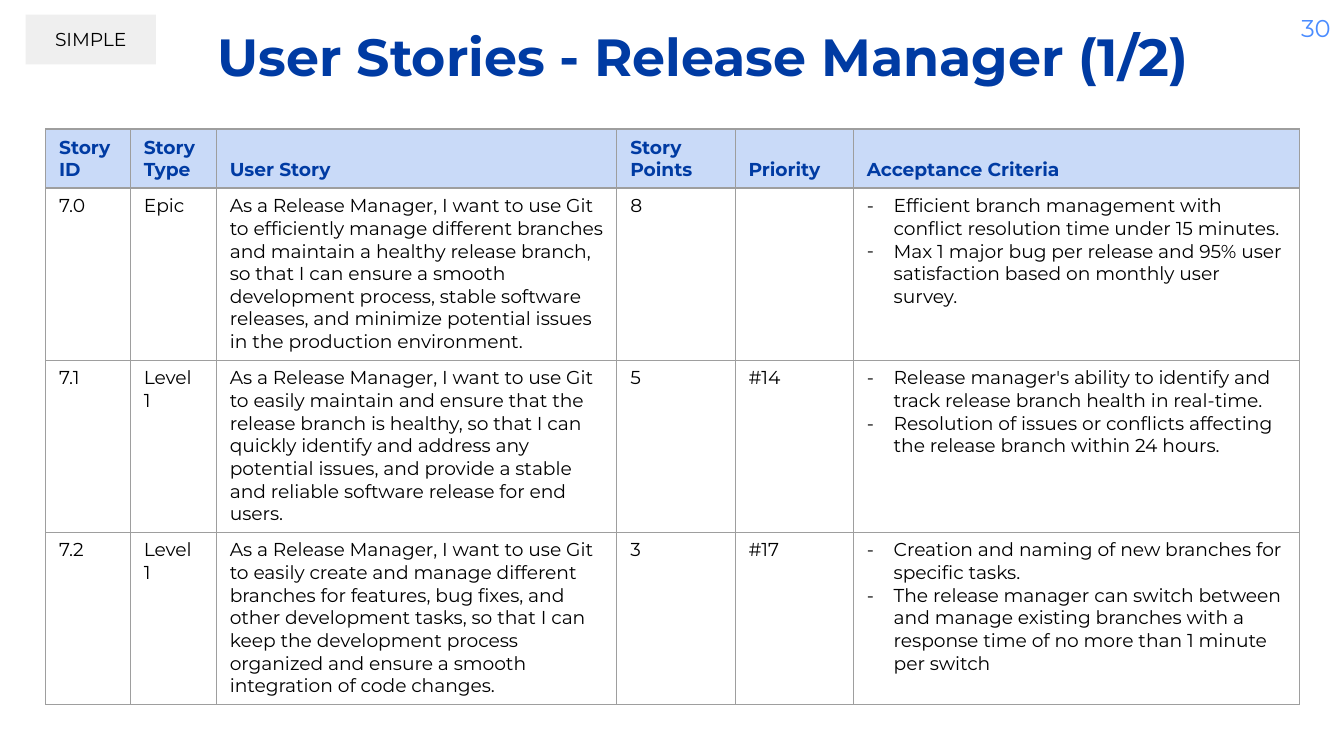
import pptx
import pptx.util
import pptx.dml.color
import pptx.enum.shapes
import pptx.enum.text
import pptx.oxml.ns
from lxml import etree

Inches, Pt = pptx.util.Inches, pptx.util.Pt
PP_ALIGN, ANCHOR = pptx.enum.text.PP_ALIGN, pptx.enum.text.MSO_ANCHOR
FONT = "Montserrat"
NAVY, BLUE, BLACK = "003BA3", "4A8CFF", "000000"
PALE, GREY, RULE = "C9DAF8", "EFEFEF", "9E9E9E"

TITLE = "User Stories - Release Manager (1/2)"
PAGE = "30"
TAG = "SIMPLE"
HEADERS = ["Story ID", "Story Type", "User Story", "Story Points", "Priority", "Acceptance Criteria"]
STORIES = [
    ("7.0", "Epic",
     "As a Release Manager, I want to use Git to efficiently manage different branches and maintain a healthy "
     "release branch, so that I can ensure a smooth development process, stable software releases, and minimize "
     "potential issues in the production environment.",
     "8", "",
     ["Efficient branch management with conflict resolution time under 15 minutes.",
      "Max 1 major bug per release and 95% user satisfaction based on monthly user survey."]),
    ("7.1", "Level 1",
     "As a Release Manager, I want to use Git to easily maintain and ensure that the release branch is healthy, "
     "so that I can quickly identify and address any potential issues, and provide a stable and reliable software "
     "release for end users.",
     "5", "#14",
     ["Release manager's ability to identify and track release branch health in real-time.",
      "Resolution of issues or conflicts affecting the release branch within 24 hours."]),
    ("7.2", "Level 1",
     "As a Release Manager, I want to use Git to easily create and manage different branches for features, bug "
     "fixes, and other development tasks, so that I can keep the development process organized and ensure a smooth "
     "integration of code changes.",
     "3", "#17",
     ["Creation and naming of new branches for specific tasks.",
      "The release manager can switch between and manage existing branches with a response time of no more than "
      "1 minute per switch"]),
]
COLS = [0.63, 0.64, 2.98, 0.88, 0.88, 3.32]
ROWS = [0.44] + [1.28] * len(STORIES)


def rgb(color):
    return pptx.dml.color.RGBColor.from_string(color)


def add_run(p, text, size, color, bold=False):
    r = p.add_run()
    r.text = text
    r.font.name, r.font.size, r.font.bold = FONT, Pt(size), bold
    r.font.color.rgb = rgb(color)


def fill_frame(sp, text, size, color, align, bold=False):
    tf = sp.text_frame
    tf.word_wrap = True
    tf.vertical_anchor = ANCHOR.TOP
    tf.margin_left = tf.margin_right = tf.margin_top = tf.margin_bottom = Inches(0.1)
    tf.paragraphs[0].alignment = align
    add_run(tf.paragraphs[0], text, size, color, bold)


def sub(parent, tag, **attrs):
    return etree.SubElement(parent, pptx.oxml.ns.qn(tag), **attrs)


def add_borders(cell):
    tcPr = cell._tc.get_or_add_tcPr()
    for side in "LRTB":
        ln = sub(tcPr, f"a:ln{side}", w=str(Pt(0.75)))
        sub(sub(ln, "a:solidFill"), "a:srgbClr", val=RULE)


def add_dash(p):
    pPr = p._p.get_or_add_pPr()
    pPr.set("marL", str(Inches(0.2)))
    pPr.set("indent", str(-Inches(0.2)))
    sub(sub(pPr, "a:buClr"), "a:srgbClr", val=BLACK)
    sub(pPr, "a:buFont", typeface=FONT)
    sub(pPr, "a:buChar", char="-")


def fill_cell(cell, content, header):
    add_borders(cell)
    if header:
        cell.fill.solid()
        cell.fill.fore_color.rgb = rgb(PALE)
    else:
        cell.fill.background()
    cell.vertical_anchor = ANCHOR.BOTTOM if header else ANCHOR.TOP
    cell.margin_left = cell.margin_right = Inches(0.1)
    cell.margin_top = cell.margin_bottom = Inches(0.05)
    bulleted = isinstance(content, list)
    tf = cell.text_frame
    for i, text in enumerate(content if bulleted else [content]):
        p = tf.add_paragraph() if i else tf.paragraphs[0]
        if bulleted:
            add_dash(p)
        if text:
            add_run(p, text, 10, NAVY if header else BLACK, header)


prs = pptx.Presentation()
prs.slide_width = Inches(10)
prs.slide_height = prs.slide_width * 9 // 16
s = prs.slides.add_slide(prs.slide_layouts[6])

title = s.shapes.add_textbox(Inches(0.81), Inches(0.08), Inches(8.84), Inches(0.71))
fill_frame(title, TITLE, 28, NAVY, PP_ALIGN.CENTER, True)
page = s.shapes.add_textbox(Inches(9.4), Inches(0), Inches(0.6), Inches(0.43))
fill_frame(page, PAGE, 13, BLUE, PP_ALIGN.RIGHT)

table = s.shapes.add_table(len(ROWS), len(COLS), Inches(0.34), Inches(0.96),
                           Inches(sum(COLS)), Inches(sum(ROWS))).table
table.first_row = table.horz_banding = False
for col, width in zip(table.columns, COLS):
    col.width = Inches(width)
for row, height in zip(table.rows, ROWS):
    row.height = Inches(height)
for i, record in enumerate([HEADERS] + STORIES):
    for j, content in enumerate(record):
        fill_cell(table.cell(i, j), content, i == 0)

tag = s.shapes.add_shape(pptx.enum.shapes.MSO_SHAPE.RECTANGLE,
                         Inches(0.19), Inches(0.11), Inches(0.97), Inches(0.37))
tag.shadow.inherit = False
tag.fill.solid()
tag.fill.fore_color.rgb = rgb(GREY)
tag.line.fill.background()
fill_frame(tag, TAG, 10, BLACK, PP_ALIGN.CENTER)

prs.save("out.pptx")
